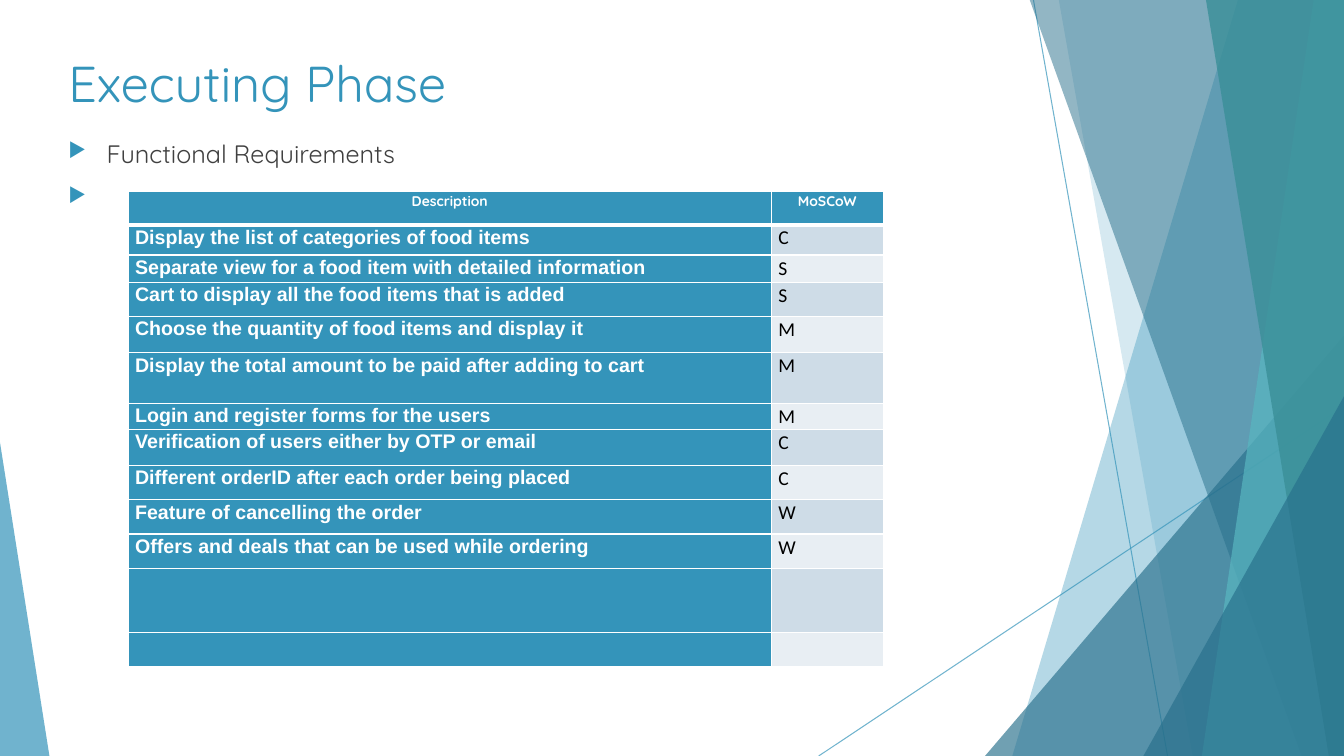
"""Build the Executing Phase slide with its table of functional requirements."""
from lxml.etree import SubElement
from pptx import Presentation
from pptx.dml.color import RGBColor
from pptx.enum.shapes import MSO_CONNECTOR as Link, MSO_SHAPE as Shape
from pptx.enum.text import MSO_ANCHOR as Anchor, PP_ALIGN as Align
from pptx.oxml.ns import qn
from pptx.util import Inches, Pt

WIDE, HIGH = 13.33, 7.5
BLUE, NAVY, TEAL, SEA = "3494BA", "276F8B", "58B6C0", "3A8F98"
WHITE, BLACK, GREY = "FFFFFF", "000000", "404040"
BANDS = ["CEDCE7", "E8EEF3"]

LINES = [(10.25, 0, 11.58, HIGH), (WIDE, 4.03, 8.12, HIGH)]
SHARDS = [
    ("slab", (12.28, 10.04), BLUE, 36),
    ("slab", (10.5, 11.83), BLUE, 20),
    ("wedge", (9.77, 3.33, 3.56, 4.17, 1), NAVY, 66),
    ("slab", (10.21, 12.91), NAVY, 50),
    ("slab", (13.03, 11.92), TEAL, 70),
    ("slab", (11.96, 13.18), SEA, 80),
    ("wedge", (11.34, 3.93, 1.99, 3.57, 1), NAVY, 66),
    ("wedge", (0, 4.39, 0.49, 3.11, 0), BLUE, 70),
]
TITLE = "Executing Phase"
POINTS = ["Functional Requirements", " "]
COLS = [6.38, 1.11]
HEAD = ("Description", "MoSCoW", 0.33)
NEEDS = [
    ("Display the list of categories of food items", "C", 0.3),
    ("Separate view for a food item with detailed information", "S", 0.27),
    ("Cart to display all the food items that is added", "S", 0.34),
    ("Choose the quantity of food items and display it", "M", 0.36),
    ("Display the total amount to be paid after adding to cart", "M", 0.5),
    ("Login and register forms for the users", "M", 0.26),
    ("Verification of users either by OTP or email", "C", 0.36),
    ("Different orderID after each order being placed", "C", 0.34),
    ("Feature of cancelling the order", "W", 0.34),
    ("Offers and deals that can be used while ordering", "W", 0.34),
    ("", "", 0.64),
    ("", "", 0.34),
]


def paint(fill, color, alpha=100):
    fill.solid()
    fill.fore_color.rgb = RGBColor.from_string(color)
    if alpha < 100:
        tint = fill._xPr.find(".//" + qn("a:srgbClr"))
        SubElement(tint, qn("a:alpha"), val=str(alpha * 1000))


def write(para, text, size=14, font="Quicksand", color=WHITE, bold=False,
          align=None, space=None):
    para.alignment = align
    para.line_spacing = space
    if not text:
        para.font.size = Pt(size)
        return
    run = para.add_run()
    run.text = text
    run.font.size, run.font.name, run.font.bold = Pt(size), font, bold
    paint(run.font.fill, color)


def bullet(para):
    props = para._p.get_or_add_pPr()
    props.set("marL", str(Inches(0.38)))
    props.set("indent", str(-Inches(0.38)))
    tint = SubElement(props, qn("a:buClr"))
    SubElement(tint, qn("a:srgbClr"), val=BLUE)
    SubElement(props, qn("a:buSzPct"), val="80000")
    SubElement(props, qn("a:buChar"), char="▶")


def add_line(x1, y1, x2, y2):
    line = slide.shapes.add_connector(
        Link.STRAIGHT, *[Inches(v) for v in (x1, y1, x2, y2)])
    line.line.width = Pt(0.75)
    paint(line.line.fill, BLUE, 70)
    SubElement(line._element.spPr, qn("a:effectLst"))


def add_shard(kind, place, color, alpha):
    if kind == "slab":
        top, foot = place
        corners = [(WIDE, -0.01), (WIDE, HIGH), (foot, HIGH)]
        pen = slide.shapes.build_freeform(Inches(top), Inches(-0.01))
        pen.add_line_segments([(Inches(x), Inches(y)) for x, y in corners])
        shape = pen.convert_to_shape()
    else:
        *box, peak = place
        shape = slide.shapes.add_shape(
            Shape.ISOSCELES_TRIANGLE, *[Inches(v) for v in box])
        shape.adjustments[0] = peak
    shape.shadow.inherit = False
    shape.line.fill.background()
    paint(shape.fill, color, alpha)


def add_box(*box):
    frame = slide.shapes.add_textbox(*[Inches(v) for v in box]).text_frame
    frame.word_wrap = True
    return frame


def style(cell, fill, pad, base):
    cell.margin_left = cell.margin_right = Inches(pad)
    cell.margin_top = cell.margin_bottom = 0
    cell.vertical_anchor = Anchor.TOP
    props = cell._tc.get_or_add_tcPr()
    for side, width in (("L", 1), ("R", 1), ("T", 1), ("B", base)):
        edge = SubElement(props, qn("a:ln" + side), w=str(Pt(width)))
        ink = SubElement(edge, qn("a:solidFill"))
        SubElement(ink, qn("a:srgbClr"), val=WHITE)
    paint(cell.fill, fill)


def add_grid():
    rows = [HEAD] + NEEDS
    tall = sum(row[2] for row in rows)
    grid = slide.shapes.add_table(
        len(rows), len(COLS), Inches(1.27), Inches(1.9),
        Inches(sum(COLS)), Inches(tall)).table
    for col, width in zip(grid.columns, COLS):
        col.width = Inches(width)
    for i, (need, rank, height) in enumerate(rows):
        grid.rows[i].height = Inches(height)
        left, right = grid.cell(i, 0), grid.cell(i, 1)
        if i == 0:
            for cell, text in ((left, need), (right, rank)):
                style(cell, BLUE, 0.06, 3)
                write(cell.text_frame.paragraphs[0], text, size=10, bold=True,
                      align=Align.CENTER, space=1.06)
            continue
        style(left, BLUE, 0.07, 1)
        style(right, BANDS[(i - 1) % 2], 0.07, 1)
        write(left.text_frame.paragraphs[0], need, font="Arial", bold=True,
              align=Align.JUSTIFY, space=1.07)
        write(right.text_frame.paragraphs[0], rank, font="Calibri",
              color=BLACK, align=Align.JUSTIFY, space=1.06)


deck = Presentation()
deck.slide_width, deck.slide_height = Inches(WIDE), Inches(HIGH)
slide = deck.slides.add_slide(deck.slide_layouts[6])
for ends in LINES:
    add_line(*ends)
for shard in SHARDS:
    add_shard(*shard)
write(add_box(0.58, 0.47, 9.73, 0.94).paragraphs[0], TITLE, size=36, color=BLUE)
body = add_box(0.58, 1.32, 9.57, 5.29)
for i, point in enumerate(POINTS):
    para = body.add_paragraph() if i else body.paragraphs[0]
    bullet(para)
    if i:
        para.space_before = Pt(10)
    write(para, point, size=18, color=GREY)
add_grid()
deck.save("out.pptx")
